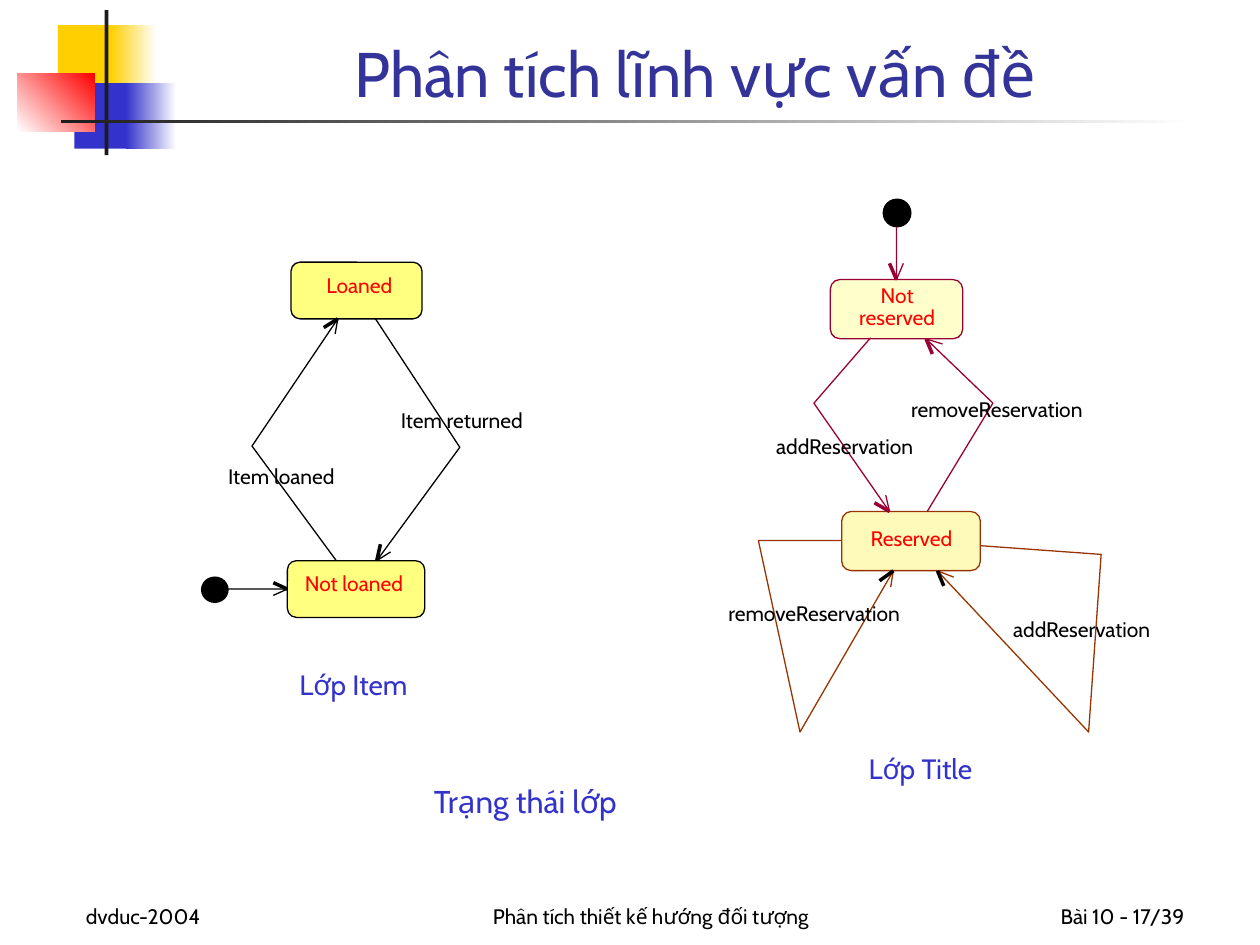
from dataclasses import dataclass

import pptx
import pptx.dml.color
import pptx.enum.shapes
import pptx.enum.text
import pptx.oxml.ns
import pptx.util
from lxml import etree

Pt = pptx.util.Pt
Preset = pptx.enum.shapes.MSO_SHAPE
Align = pptx.enum.text.PP_ALIGN
Anchor = pptx.enum.text.MSO_ANCHOR
AutoSize = pptx.enum.text.MSO_AUTO_SIZE


@dataclass(frozen=True)
class Theme:
    font: str = "Cabin"
    black: str = "000000"
    white: str = "FFFFFF"
    red: str = "FF0000"
    gold: str = "FFCF01"
    blue: str = "3333CC"
    title: str = "333399"
    charcoal: str = "1C1C1C"
    item_fill: str = "FFFF80"
    free_fill: str = "FFFFCC"
    reserved_fill: str = "FEFBBA"
    crimson: str = "990033"
    brown: str = "993300"
    title_size: int = 36
    heading_size: int = 18
    caption_size: int = 16
    body_size: int = 12


def rgb(color):
    return pptx.dml.color.RGBColor.from_string(color)


class StateDiagram:
    def __init__(self, page, theme):
        self.page = page
        self.theme = theme

    def hairline(self, line, color):
        line.color.rgb = rgb(color)
        line.width = Pt(0)

    def shape(self, preset, place, fill, outline=None):
        shape = self.page.shapes.add_shape(preset, *map(Pt, place))
        shape.shadow.inherit = False
        shape.fill.solid()
        shape.fill.fore_color.rgb = rgb(fill)
        if outline:
            self.hairline(shape.line, outline)
        else:
            shape.line.fill.background()
        return shape

    def fade(self, place, start, end, angle=0):
        shape = self.shape(Preset.RECTANGLE, place, start)
        shape.fill.gradient()
        shape.fill.gradient_angle = angle
        for stop, color in zip(shape.fill.gradient_stops, (start, end)):
            stop.color.rgb = rgb(color)

    def state(self, place, fill, outline):
        shape = self.shape(Preset.ROUNDED_RECTANGLE, place, fill, outline)
        shape.adjustments[0] = 0.16
        return shape

    def add_text(self, frame, text, size, color, align):
        para = frame.paragraphs[0]
        para.alignment = align
        span = para.add_run()
        span.text = text
        span.font.name = self.theme.font
        span.font.size = Pt(size)
        span.font.color.rgb = rgb(color)

    def title(self, text, place):
        box = self.page.shapes.title
        box.left, box.top, box.width, box.height = map(Pt, place)
        box.text_frame.vertical_anchor = Anchor.BOTTOM
        box.text_frame.auto_size = AutoSize.NONE
        self.add_text(box.text_frame, text, self.theme.title_size, self.theme.title, Align.CENTER)

    def footer(self, text, left, width, align):
        box = self.page.shapes.add_textbox(*map(Pt, (left, 498.2, width, 36)))
        box.text_frame.word_wrap = True
        box.text_frame.vertical_anchor = Anchor.BOTTOM
        self.add_text(box.text_frame, text, self.theme.body_size, self.theme.black, align)

    def caption(self, text, place, size):
        box = self.page.shapes.add_textbox(*map(Pt, place))
        box.text_frame.word_wrap = False
        box.text_frame.auto_size = AutoSize.SHAPE_TO_FIT_TEXT
        self.add_text(box.text_frame, text, size, self.theme.blue, Align.CENTER)

    def label(self, text, left, top, width, color):
        box = self.page.shapes.add_textbox(*map(Pt, (left, top, width, 14.4)))
        frame = box.text_frame
        frame.margin_left = frame.margin_right = frame.margin_top = frame.margin_bottom = 0
        frame.word_wrap = False
        frame.auto_size = AutoSize.SHAPE_TO_FIT_TEXT
        self.add_text(frame, text, self.theme.body_size, color, Align.LEFT)

    def transition(self, route, barbs, color, barb_color=None, target=None, side=None):
        points = [(Pt(x), Pt(y)) for x, y in [*route, barbs[0]]]
        builder = self.page.shapes.build_freeform(*points[0])
        builder.add_line_segments(points[1:], close=False)
        outline = builder.convert_to_shape()
        outline.shadow.inherit = False
        outline.fill.background()
        self.hairline(outline.line, color)

        barb = self.page.shapes.add_connector(
            pptx.enum.shapes.MSO_CONNECTOR.STRAIGHT, *map(Pt, (*route[-1], *barbs[1]))
        )
        if target is not None:
            barb.begin_connect(target, side)
        self.hairline(barb.line, barb_color or color)
        etree.SubElement(barb.element.spPr, pptx.oxml.ns.qn("a:effectLst"))


def main():
    theme = Theme()
    deck = pptx.Presentation()
    deck.slide_width, deck.slide_height = Pt(720), Pt(540)
    page = deck.slides.add_slide(deck.slide_layouts[5])
    diagram = StateDiagram(page, theme)

    diagram.shape(Preset.RECTANGLE, (33.1, 14.4, 34.6, 37.4), theme.gold)
    diagram.fade((63.4, 14.4, 25.9, 37.4), theme.gold, theme.white)
    diagram.shape(Preset.RECTANGLE, (42.5, 47.5, 33.1, 37.4), theme.blue)
    diagram.fade((72, 47.5, 28.8, 37.4), theme.blue, theme.white)
    diagram.fade((10.1, 41.8, 43.9, 33.1), theme.white, theme.red, 45)
    diagram.shape(Preset.RECTANGLE, (59.8, 5.8, 2.2, 82.8), theme.charcoal)
    diagram.fade((34.6, 68.4, 648, 2.2), theme.charcoal, theme.white)

    diagram.title("Phân tích lĩnh vực vấn đề", (90.7, 5.8, 613.4, 60.5))
    diagram.footer("dvduc-2004", 42, 150, Align.LEFT)
    diagram.footer("Phân tích thiết kế hướng đối tượng", 234, 276, Align.CENTER)
    diagram.footer("Bài 10 - 17/39", 534, 150, Align.RIGHT)

    for place in ((115.2, 329.8, 15.1, 14.4), (504.7, 113.8, 15.8, 15.8)):
        diagram.shape(Preset.OVAL, place, theme.black, theme.black)

    not_loaned = diagram.state((164.2, 320.4, 78.5, 32.4), theme.item_fill, theme.black)
    diagram.state((166.3, 149.8, 74.9, 32.4), theme.item_fill, theme.black)
    diagram.state((481, 292.3, 79.2, 33.8), theme.reserved_fill, theme.brown)
    not_reserved = diagram.state((474.5, 159.8, 75.6, 33.8), theme.free_fill, theme.crimson)

    diagram.transition([(130.3, 336.6), (164.2, 336.6)], [(156.2, 340.2), (156.2, 333)],
                       theme.black, target=not_loaned, side=1)
    diagram.transition([(512.3, 129.6), (512.3, 159.8)], [(516.2, 150.5), (508.3, 150.5)],
                       theme.crimson, target=not_reserved, side=0)

    transitions = [
        ([(214.6, 182.2), (262.8, 255.6), (215.3, 320.4)],
         [(223.2, 315.4), (217.4, 311)], theme.black),
        ([(192.2, 320.4), (144, 254.9), (193, 182.2)],
         [(191.5, 190.8), (185, 187.2)], theme.black),
        ([(497.5, 193), (465.1, 230.4), (508.3, 292.3)],
         [(506.2, 283), (499.7, 287.3)], theme.crimson),
        ([(529.9, 292.3), (567.4, 230.4), (529.2, 193.7)],
         [(538.6, 196.6), (532.8, 202.3)], theme.crimson),
        ([(560.2, 311.8), (629.3, 316.8), (622.1, 418.3), (535.7, 326.2)],
         [(545, 329.8), (539.3, 334.8)], theme.brown, theme.black),
        ([(481, 308.9), (433.4, 308.9), (457.2, 418.3), (510.5, 326.2)],
         [(509, 335.5), (502.6, 331.9)], theme.brown, theme.black),
    ]
    for transition in transitions:
        diagram.transition(*transition)

    state_labels = [
        ("Not loaned", 174.2, 326.2, 62.6),
        ("Loaned", 186.5, 155.5, 41.8),
        ("Reserved", 497.5, 300.2, 51.8),
        ("Not", 503.3, 161.3, 23.8),
        ("reserved", 491, 174.2, 49.7),
    ]
    event_labels = [
        ("Item returned", 229, 232.6, 79.9),
        ("Item loaned", 130.3, 265, 68.4),
        ("addReservation", 443.5, 247.7, 87.8),
        ("addReservation", 578.9, 352.1, 87.8),
        ("removeReservation", 416.2, 343.4, 109.4),
        ("removeReservation", 520.6, 226.8, 109.4),
    ]
    for labels, color in ((state_labels, theme.red), (event_labels, theme.black)):
        for label in labels:
            diagram.label(*label, color)

    diagram.caption("Lớp Item", (161.3, 378, 81.4, 26.6), theme.caption_size)
    diagram.caption("Lớp Title", (486.7, 426.2, 78.5, 26.6), theme.caption_size)
    diagram.caption("Trạng thái lớp", (234, 443.5, 132.5, 28.8), theme.heading_size)

    deck.save("out.pptx")


if __name__ == "__main__":
    main()
